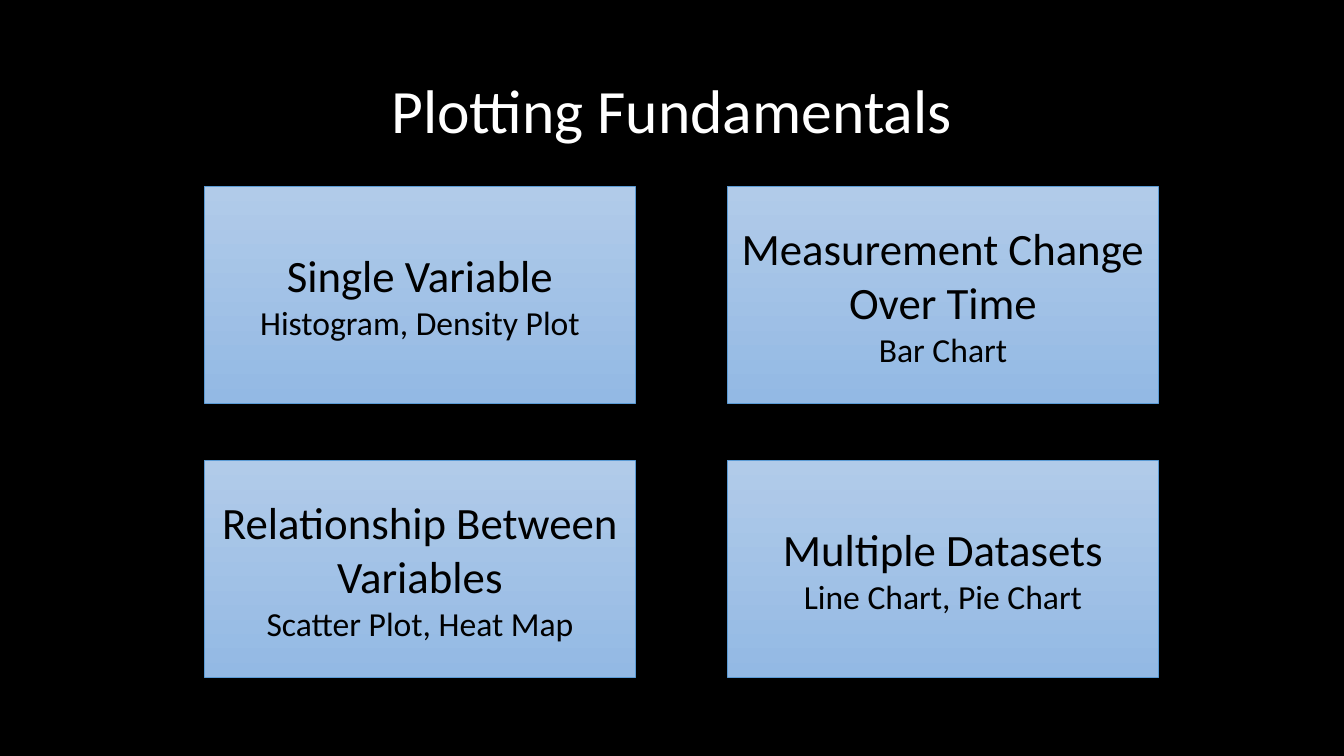
from pptx import Presentation
from pptx import util as u
from pptx.dml.color import RGBColor
from pptx.enum import shapes, text

HUES = {"back": "000000", "title": "FFFFFF", "ink": "000000",
        "top": "B1CBE9", "base": "93B9E4", "edge": "5B9BD5"}

# Two rows of two cards: heading, plot types
CARDS = [
    [("Single Variable", "Histogram, Density Plot"),
     ("Measurement Change Over Time", "Bar Chart")],
    [("Relationship Between Variables", "Scatter Plot, Heat Map"),
     ("Multiple Datasets", "Line Chart, Pie Chart")],
]
LEFT, TOP = 5.16, 4.7
WIDE, HIGH = 10.85, 5.46
STEP_X, STEP_Y = 13.18, 6.91


class Deck:
    """Holds the style and the current slide; lengths are in centimetres."""

    def __init__(self, font):
        self.font = font
        self.prs = Presentation()
        self.prs.slide_width = u.Cm(33.87)
        self.prs.slide_height = u.Cm(19.05)
        self.slide = self.prs.slides.add_slide(self.prs.slide_layouts[5])
        fill = self.slide.background.fill
        fill.solid()
        fill.fore_color.rgb = self.hue("back")

    def hue(self, name):
        return RGBColor.from_string(HUES[name])

    def style(self, para, size, name):
        para.alignment = text.PP_ALIGN.CENTER
        for run in para.runs:
            run.font.name = self.font
            run.font.size = u.Pt(size)
            run.font.color.rgb = self.hue(name)

    def title(self, words, x, y, w, h):
        box = self.slide.shapes.title
        box.left, box.top, box.width, box.height = map(u.Cm, (x, y, w, h))
        frame = box.text_frame
        frame.text = words
        frame.vertical_anchor = text.MSO_ANCHOR.MIDDLE
        para = frame.paragraphs[0]
        para.line_spacing = 0.9
        self.style(para, 44, "title")

    def card(self, head, plots, x, y, w, h):
        box = self.slide.shapes.add_shape(
            shapes.MSO_SHAPE.RECTANGLE, *map(u.Cm, (x, y, w, h)))
        box.shadow.inherit = False
        box.fill.gradient()
        box.fill.gradient_angle = 270  # light at the top
        for stop, name in zip(box.fill.gradient_stops, ("top", "base")):
            stop.color.rgb = self.hue(name)
        box.line.color.rgb = self.hue("edge")
        box.line.width = u.Pt(0.5)
        frame = box.text_frame
        frame.word_wrap = True
        frame.vertical_anchor = text.MSO_ANCHOR.MIDDLE
        frame.text = f"{head}\n{plots}"
        for para, size in zip(frame.paragraphs, (32, 24)):
            self.style(para, size, "ink")


def main():
    deck = Deck("Calibri")
    deck.title("Plotting Fundamentals", 2.33, 1.02, 29.21, 3.68)
    for i, row in enumerate(CARDS):
        for j, (head, plots) in enumerate(row):
            deck.card(head, plots, LEFT + j * STEP_X, TOP + i * STEP_Y,
                      WIDE, HIGH)
    deck.prs.save("out.pptx")


if __name__ == "__main__":
    main()
